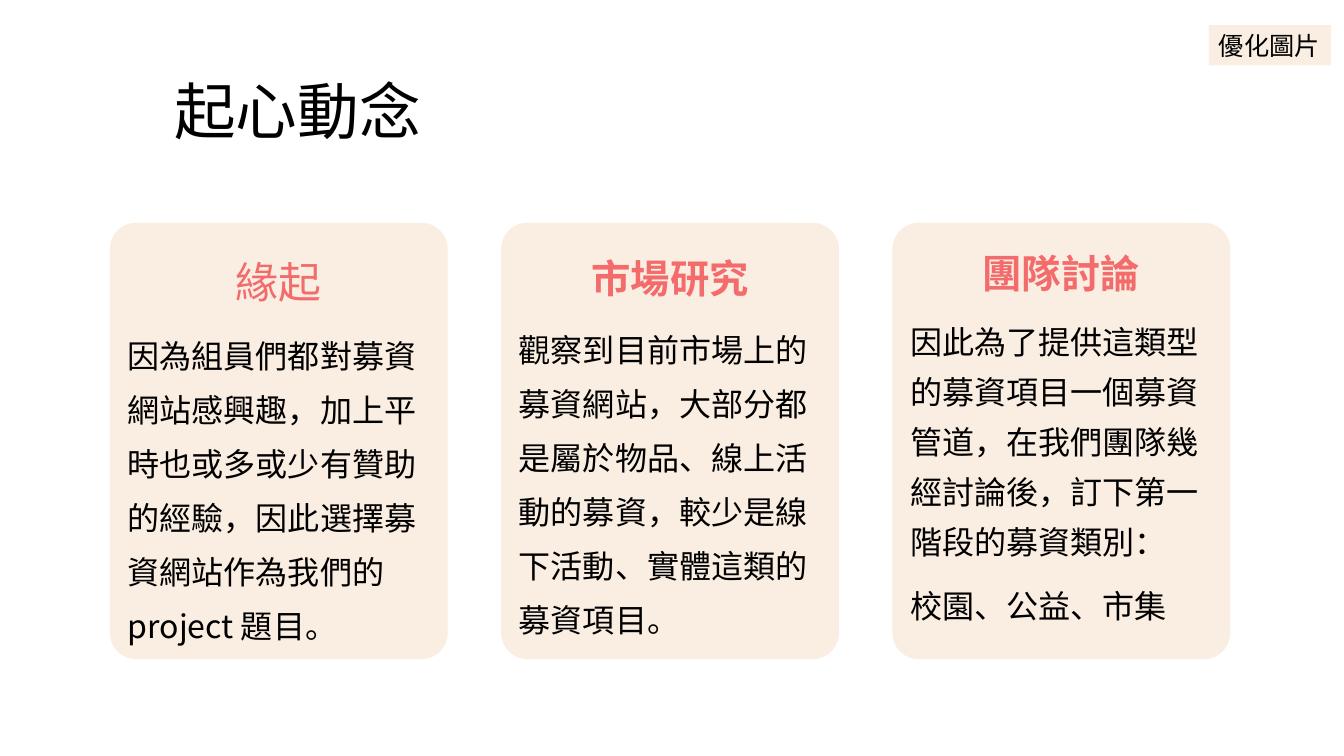
from dataclasses import dataclass

from lxml.etree import SubElement
from pptx import Presentation
from pptx.dml.color import RGBColor
from pptx.enum.shapes import MSO_SHAPE as Preset
from pptx.enum.text import MSO_ANCHOR as Anchor, PP_ALIGN as Align
from pptx.oxml.ns import qn
from pptx.util import Inches, Pt


@dataclass(frozen=True)
class Theme:
    cream: str = "FAEEE2"
    coral: str = "F36B6B"
    black: str = "000000"
    cjk: str = "Noto Sans CJK TC"
    latin: str = "Open Sans"
    title: float = 44
    body: float = 22.9
    tag: float = 18
    line_height: float = 1.2
    paragraph_gap: float = 10


THEME = Theme()
SLIDE_WIDTH, SLIDE_HEIGHT = Inches(13.33), Inches(7.5)

CARD_LEFT, CARD_PITCH, CARD_WIDTH = 8.18, 29.11, 25.13
CARD_TOP, CARD_HEIGHT = 29.47, 57.73

CARDS = [
    ("緣起", 30.6, False, 1.4, [
        "因為組員們都對募資網站感興趣，加上平時也或多或少有贊助的經驗，"
        "因此選擇募資網站作為我們的 project 題目。",
    ]),
    ("市場研究", 28.1, True, 1.4, [
        "觀察到目前市場上的募資網站，大部分都是屬於物品、線上活動的募資，"
        "較少是線下活動、實體這類的募資項目。",
    ]),
    ("團隊討論", 28.1, True, 1.3, [
        "因此為了提供這類型的募資項目一個募資管道，在我們團隊幾經討論後，"
        "訂下第一階段的募資類別：",
        "校園、公益、市集",
    ]),
]


def place(left, top, width, height):
    """Turn percentages of the slide into lengths."""
    return (
        int(SLIDE_WIDTH * left / 100),
        int(SLIDE_HEIGHT * top / 100),
        int(SLIDE_WIDTH * width / 100),
        int(SLIDE_HEIGHT * height / 100),
    )


def write(paragraph, text, size, color=THEME.black, font=THEME.cjk,
          bold=False, align=Align.LEFT, leading=1.0, gap=0):
    run = paragraph.add_run()
    run.text = text
    paragraph.alignment = align
    paragraph.line_spacing = Pt(round(size * leading * THEME.line_height, 1))
    paragraph.space_before = Pt(gap)
    paragraph.font.size = Pt(size)
    paragraph.font.bold = bold
    paragraph.font.name = font
    paragraph.font.color.rgb = RGBColor.from_string(color)
    east_asian = SubElement(run.font._element, qn("a:ea"))
    east_asian.set("typeface", THEME.cjk)


def add_panel(slide, preset, area):
    panel = slide.shapes.add_shape(preset, *place(*area))
    panel.shadow.inherit = False
    panel.fill.solid()
    panel.fill.fore_color.rgb = RGBColor.from_string(THEME.cream)
    panel.line.fill.background()
    panel.text_frame.vertical_anchor = Anchor.TOP
    return panel


def add_card(slide, column, heading, heading_size, bold, leading, passages):
    left = CARD_LEFT + column * CARD_PITCH
    card = add_panel(slide, Preset.ROUNDED_RECTANGLE,
                     (left, CARD_TOP, CARD_WIDTH, CARD_HEIGHT))
    card.adjustments[0] = 0.078
    frame = card.text_frame
    frame.word_wrap = True
    write(frame.paragraphs[0], heading, heading_size, THEME.coral,
          bold=bold, align=Align.CENTER, leading=leading)
    for passage in passages:
        write(frame.add_paragraph(), passage, THEME.body,
              leading=leading, gap=THEME.paragraph_gap)


def add_title(slide, text, area):
    title = slide.shapes.add_textbox(*place(*area))
    frame = title.text_frame
    frame.word_wrap = True
    frame.vertical_anchor = Anchor.MIDDLE
    write(frame.paragraphs[0], text, THEME.title, font=THEME.latin, leading=0.9)


def add_tag(slide, text, area):
    tag = add_panel(slide, Preset.RECTANGLE, area)
    tag.text_frame.word_wrap = False
    write(tag.text_frame.paragraphs[0], text, THEME.tag)


def main():
    deck = Presentation()
    deck.slide_width, deck.slide_height = SLIDE_WIDTH, SLIDE_HEIGHT
    slide = deck.slides.add_slide(deck.slide_layouts[6])
    for column, card in enumerate(CARDS):
        add_card(slide, column, *card)
    add_title(slide, "起心動念", (12.23, 5.33, 80.87, 19.33))
    add_tag(slide, "優化圖片", (89.95, 3.33, 9.08, 5.33))
    deck.save("out.pptx")


if __name__ == "__main__":
    main()
